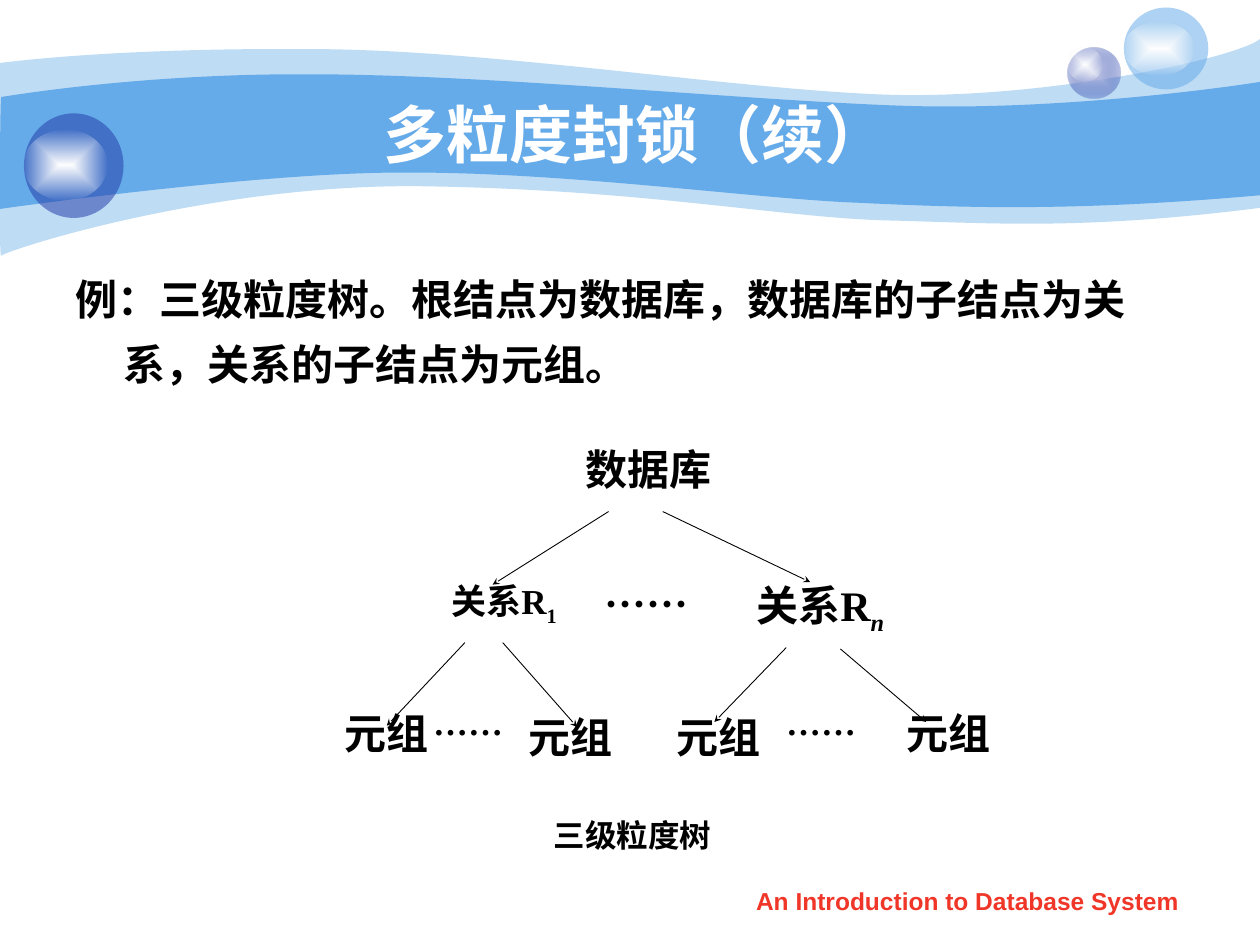
from lxml.etree import SubElement as Sub
from pptx import Presentation
from pptx.dml.color import RGBColor
from pptx.enum.shapes import MSO_CONNECTOR as Conn, MSO_SHAPE as Kind
from pptx.enum.text import MSO_ANCHOR as Anchor, MSO_AUTO_SIZE as Fit, PP_ALIGN as Align
from pptx.oxml.ns import qn
from pptx.util import Inches, Pt

WHITE = RGBColor(0xFF, 0xFF, 0xFF)
BLACK = RGBColor(0, 0, 0)
SKY = RGBColor(0x65, 0xAA, 0xE9)
NAVY = RGBColor(0x23, 0x3D, 0xA9)
LILAC = RGBColor(0xC6, 0xCC, 0xE8)
RED = RGBColor(0xF0, 0x36, 0x28)
SANS, SERIF, HAN = "Arial", "Times New Roman", "Noto Sans CJK SC"

# Content
TITLE = "多粒度封锁（续）"
BODY = "例：三级粒度树。根结点为数据库，数据库的子结点为关系，关系的子结点为元组。"
# Tree labels: box, size, text, subscript, italic subscript
NODES = [
    ((4.43, 3.5, 1.44, 0.64), 24, "数据库", "", False),
    ((3.16, 4.55, 1.68, 0.91), 20, "关系R", "1", False),
    ((5.78, 4.55, 1.46, 0.57), 24, "关系R", "n", True),
    ((2.5, 5.59, 1.14, 0.59), 24, "元组", "", False),
    ((3.96, 5.62, 1.14, 0.59), 24, "元组", "", False),
    ((5.13, 5.62, 1.14, 0.59), 24, "元组", "", False),
    ((6.81, 5.59, 1.44, 0.66), 24, "元组", "", False),
]
DOTS = [((4.7, 4.57, 1.46, 0.48), 24), ((3.34, 5.62, 1.33, 0.48), 20),
        ((6.14, 5.62, 1.27, 0.66), 20)]
ARROWS = [
    (4.83, 4.06, 3.91, 4.64), (5.26, 4.06, 6.43, 4.62),
    (3.69, 5.1, 3.07, 5.76), (3.99, 5.1, 4.58, 5.77),
    (6.24, 5.14, 5.67, 5.73), (6.67, 5.15, 7.35, 5.73),
]
# Waves: opacity, start, then Bezier curves (6 numbers) and lines (2 numbers)
WAVES = [
    (41, (0, 0.5), [
        (0.24, 0.47, 1.07, 0.38, 2.47, 0.39), (3.86, 0.39, 5.75, 0.7, 6.99, 0.75),
        (8.22, 0.8, 9.8, 0.47, 10, 0.31), (10, 1.65),
        (8.58, 1.83, 7.87, 1.77, 7.05, 1.75), (6.22, 1.73, 5.15, 1.51, 3.43, 1.48),
        (1.72, 1.44, 0.04, 1.99, 0.01, 2.03), (-0.01, 2.08, 0, 0.75, 0, 0.5)]),
    (100, (0.01, 0.77), [
        (0.02, 0.77, 1.1, 0.58, 2.48, 0.59), (3.86, 0.59, 5.95, 0.8, 7.18, 0.84),
        (8.41, 0.88, 9.76, 0.69, 10, 0.65), (10, 1.55),
        (8.53, 1.68, 7.65, 1.65, 6.82, 1.61), (5.99, 1.58, 4.47, 1.36, 3.17, 1.37),
        (2.03, 1.37, -0.02, 1.66, -0.01, 1.66), (0, 1.66, 0, 0.77, 0.01, 0.77)]),
]
# Balls: box and colour stops, each ball followed by its gleam
GLEAM = [(WHITE, 100), (WHITE, 0)]
BALLS = [
    ((8.47, 0.38, 0.42, 0.4), [(LILAC, 100), (NAVY, 31)]),
    ((8.47, 0.38, 0.28, 0.27), GLEAM),
    ((8.92, 0.06, 0.67, 0.65), [(SKY, 53)]),
    ((8.92, 0.17, 0.56, 0.43), GLEAM),
    ((0.19, 0.9, 0.79, 0.83), [(NAVY, 53)]),
    ((0.19, 1.03, 0.66, 0.56), GLEAM),
]

prs = Presentation()
prs.slide_width, prs.slide_height = Inches(10), Inches(7.5)
slide = prs.slides.add_slide(prs.slide_layouts[1])
shapes = slide.shapes


def inch(nums):
    return [Inches(n) for n in nums]


def put(obj, vals):
    for key, val in vals.items():
        setattr(obj, key, val)


def tint(node, color, alpha):
    clr = Sub(node, qn("a:srgbClr"), val=str(color))
    if alpha < 100:
        Sub(clr, qn("a:alpha"), val=str(alpha * 1000))


def paint(shape, stops):
    """Fill with one colour, or with a gradient from the centre outwards."""
    shape.shadow.inherit = False
    shape.line.fill.background()
    shape.fill.background()
    old = shape._element.spPr.find(qn("a:noFill"))
    if len(stops) == 1:
        new = old.makeelement(qn("a:solidFill"))
        tint(new, *stops[0])
    else:
        new = old.makeelement(qn("a:gradFill"), rotWithShape="1")
        row = Sub(new, qn("a:gsLst"))
        for pos, stop in zip((0, 100000), stops):
            tint(Sub(row, qn("a:gs"), pos=str(pos)), *stop)
        way = Sub(new, qn("a:path"), path="rect")
        Sub(way, qn("a:fillToRect"), l="50000", t="50000", r="50000", b="50000")
    old.getparent().replace(old, new)


def wave(start, parts):
    """Build the outline from its corners, then bend the sides into curves."""
    form = shapes.build_freeform(*inch(start))
    form.add_line_segments([inch(part[-2:]) for part in parts], close=True)
    shape = form.convert_to_shape()
    sides = list(shape._element.iter(qn("a:lnTo")))
    for side, part in zip(sides, parts):
        if len(part) == 2:
            continue
        curve = side.makeelement(qn("a:cubicBezTo"))
        nums = inch(part)
        for x, y in zip(nums[::2], nums[1::2]):
            Sub(curve, qn("a:pt"), x=str(x - shape.left), y=str(y - shape.top))
        side.getparent().replace(side, curve)
    return shape


def write(shape, runs, size, color=BLACK, font=SERIF, wrap=True, anchor=Anchor.TOP, **para):
    """Set runs of (text, extra font values) as one paragraph."""
    frame = shape.text_frame
    put(frame, dict(word_wrap=wrap, auto_size=Fit.NONE, vertical_anchor=anchor))
    p = frame.paragraphs[0]
    put(p, para)
    for text, extra in runs:
        run = p.add_run()
        run.text = text
        put(run.font, dict(name=font, size=Pt(size), bold=True) | extra)
        run.font.color.rgb = color
        Sub(run.font._element, qn("a:ea"), typeface=HAN)
    return p


def label(box, *args, **kw):
    return write(shapes.add_textbox(*inch(box)), *args, **kw)


def place(holder, box):
    put(holder, dict(zip(("left", "top", "width", "height"), inch(box))))
    shapes._spTree.append(holder._element)  # in front of the waves


# Waves and balls
for alpha, start, parts in WAVES:
    paint(wave(start, parts), [(SKY, alpha)])
for box, stops in BALLS:
    paint(shapes.add_shape(Kind.OVAL, *inch(box)), stops)

# Title and body
title, body = shapes.title, slide.placeholders[1]
place(title, (1, 0.75, 8.08, 0.62))
write(title, [(TITLE, {})], 36, WHITE, SANS, anchor=Anchor.MIDDLE, alignment=Align.CENTER)
place(body, (0.5, 2, 9, 4.92))
p = write(body, [(BODY, {})], 24, font=SANS, line_spacing=1.3, space_before=Pt(6))
props = p._p.get_or_add_pPr()
indent = Inches(0.38)
for key, val in dict(marL=indent, indent=-indent, hangingPunct=0).items():
    props.set(key, str(val))
Sub(props, qn("a:buNone"))

# Tree
for ends in ARROWS:
    arrow = shapes.add_connector(Conn.STRAIGHT, *inch(ends))
    arrow.line.width = Pt(0.5)
    arrow.line.color.rgb = BLACK
    Sub(arrow.line._get_or_add_ln(), qn("a:tailEnd"), type="stealth", w="sm", len="sm")
    Sub(arrow._element.spPr, qn("a:effectLst"))
for box, size, text, sub, slant in NODES:
    runs = [(text, {})] + ([(sub, dict(italic=slant))] if sub else [])
    p = label(box, runs, size, alignment=Align.CENTER, line_spacing=0.96)
    for run in p.runs[1:]:
        run.font._element.set("baseline", "-25000")
for box, size in DOTS:
    label(box, [("……", {})], size, font=HAN, alignment=Align.JUSTIFY, line_spacing=0.96)

# Caption and footer
label((3.92, 6.43, 2.2, 0.4), [("三级粒度树", {})], 18, wrap=False, alignment=Align.CENTER)
label((5.71, 6.98, 3.94, 0.35), [("An Introduction to Database System", {})], 14, RED, SANS,
      alignment=Align.CENTER)

prs.save("out.pptx")
